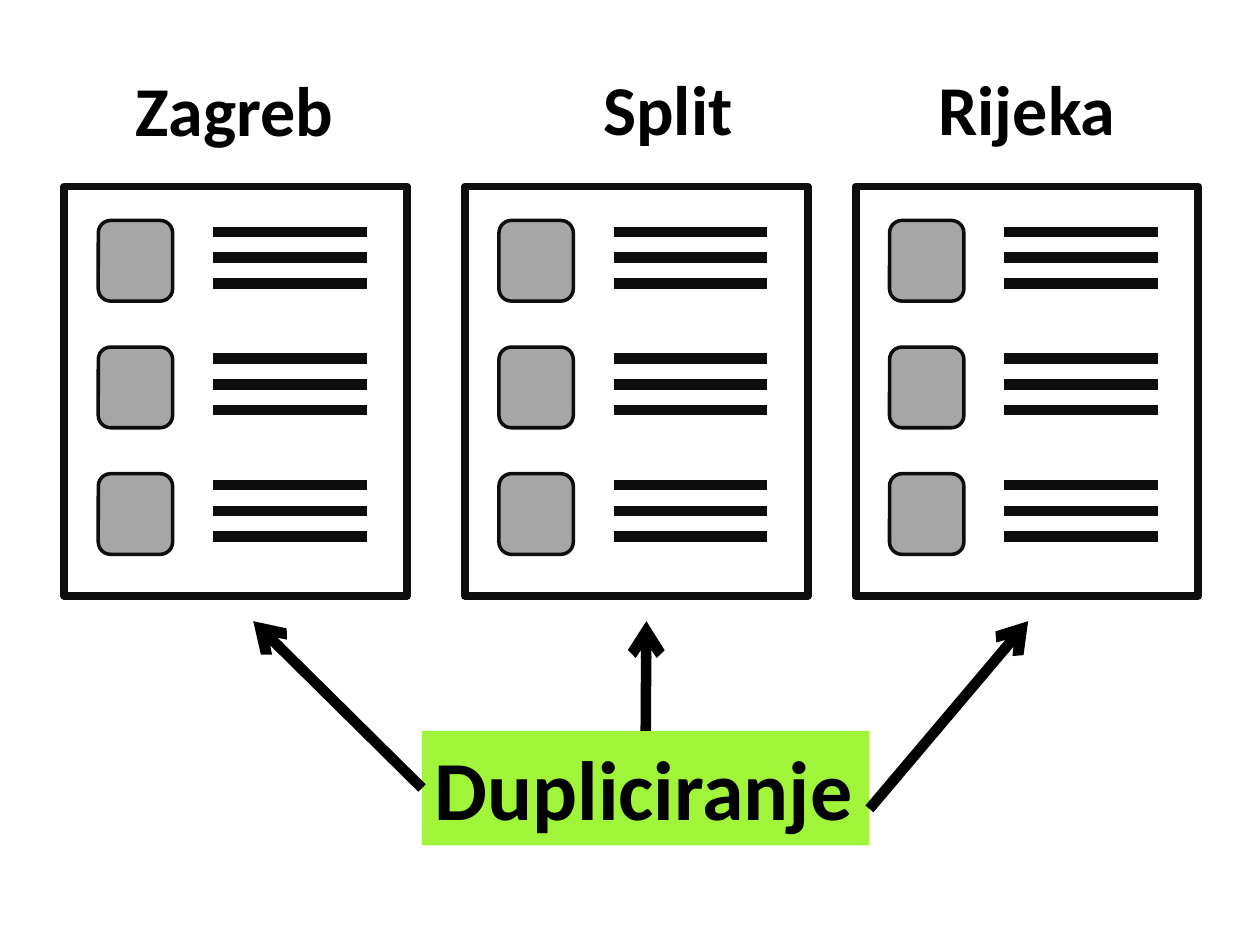
from lxml.etree import SubElement
from pptx import Presentation
from pptx.dml.color import RGBColor
from pptx.enum.shapes import MSO_CONNECTOR as Link, MSO_SHAPE as Kind
from pptx.enum.text import MSO_AUTO_SIZE as Fit
from pptx.oxml.ns import qn
from pptx.util import Inches, Pt

WIDE, HIGH = 10, 7.5
FONT = "Calibri"
COLORS = {"ink": "0D0D0D", "text": "000000", "icon": "A6A6A6", "label": "A0F43A"}

# City, left of its page, then left, top and width of its title
CITIES = [
    ("Zagreb", 0.51, (0.98, 0.48, 1.79)),
    ("Split", 3.69, (4.69, 0.47, 1.24)),
    ("Rijeka", 6.79, (7.35, 0.47, 1.62)),
]
LABEL = "Dupliciranje"
LABEL_AT = (3.35, 5.8, 3.55, 0.91)
# Start, tip, and the side of the label that the arrow is joined to
ARROWS = [
    ((3.35, 6.25), (2.01, 4.93), 1),
    ((5.13, 5.8), (5.13, 4.93), 0),
    ((6.9, 6.42), (8.16, 4.93), None),
]

PAGE_TOP, PAGE_W, PAGE_H = 1.48, 2.72, 3.25
ROWS, ROW_GAP = 3, 1.005
ICON_X, ICON_Y, ICON_W, ICON_H = 0.27, 0.27, 0.59, 0.64
BARS, BAR_X, BAR_Y, BAR_W, BAR_GAP = 3, 1.18, 0.36, 1.22, 0.205


def color(name):
    return RGBColor.from_string(COLORS[name])


def add_box(shapes, kind, at, fill=None, line=None):
    box = shapes.add_shape(kind, *map(Inches, at))
    box.shadow.inherit = False
    if fill:
        box.fill.solid()
        box.fill.fore_color.rgb = color(fill)
    else:
        box.fill.background()
    if line:
        box.line.color.rgb = color("ink")
        box.line.width = Pt(line)
    else:
        box.line.fill.background()
    return box


def add_line(shapes, start, end, ink):
    line = shapes.add_connector(Link.STRAIGHT, *map(Inches, start + end))
    line.line.color.rgb = color(ink)
    line.line.width = Pt(6)
    SubElement(line._element.spPr, qn("a:effectLst"))
    return line


def add_text(shapes, text, at, size, fill=None):
    box = shapes.add_textbox(*map(Inches, at))
    if fill:
        box.fill.solid()
        box.fill.fore_color.rgb = color(fill)
    frame = box.text_frame
    frame.word_wrap = False
    frame.auto_size = Fit.SHAPE_TO_FIT_TEXT
    run = frame.paragraphs[0].add_run()
    run.text = text
    run.font.name, run.font.size, run.font.bold = FONT, Pt(size), True
    run.font.color.rgb = color("text")
    return box


def add_page(slide, left):
    """Draw one framed page with rows of an icon and its text bars."""
    shapes = slide.shapes.add_group_shape().shapes
    for row in range(ROWS):
        top = PAGE_TOP + row * ROW_GAP
        icon = (left + ICON_X, top + ICON_Y, ICON_W, ICON_H)
        add_box(shapes, Kind.ROUNDED_RECTANGLE, icon, "icon", 2)
        x = left + BAR_X
        for bar in range(BARS):
            y = top + BAR_Y + bar * BAR_GAP
            add_line(shapes, (x, y), (x + BAR_W, y), "ink")
    add_box(shapes, Kind.RECTANGLE, (left, PAGE_TOP, PAGE_W, PAGE_H), line=4.5)


def main():
    deck = Presentation()
    deck.slide_width, deck.slide_height = Inches(WIDE), Inches(HIGH)
    slide = deck.slides.add_slide(deck.slide_layouts[6])

    for city, left, title in CITIES:
        add_page(slide, left)
        add_text(slide.shapes, city, title + (0.77,), 40)

    label = add_text(slide.shapes, LABEL, LABEL_AT, 48, "label")
    for start, tip, side in ARROWS:
        arrow = add_line(slide.shapes, start, tip, "text")
        SubElement(arrow.line._get_or_add_ln(), qn("a:tailEnd"), type="arrow")
        if side is not None:
            arrow.begin_connect(label, side)

    deck.save("out.pptx")


if __name__ == "__main__":
    main()
